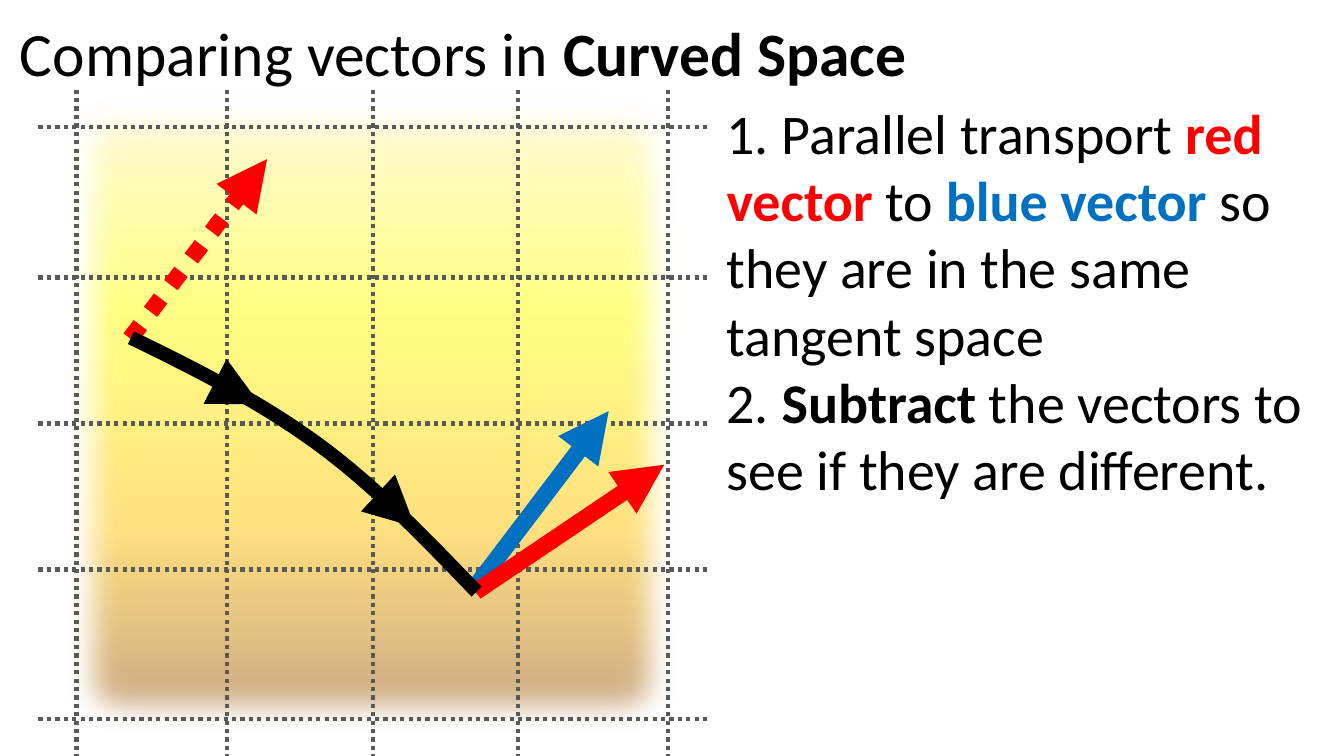
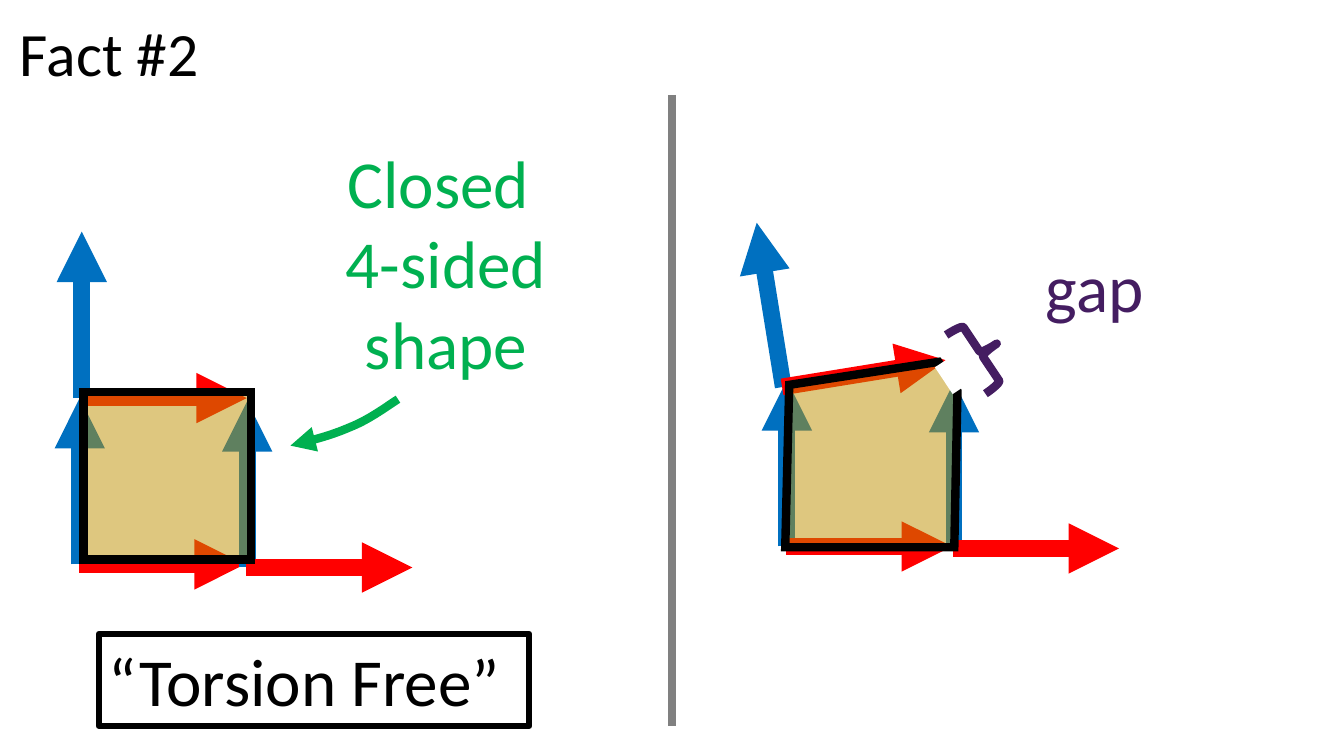
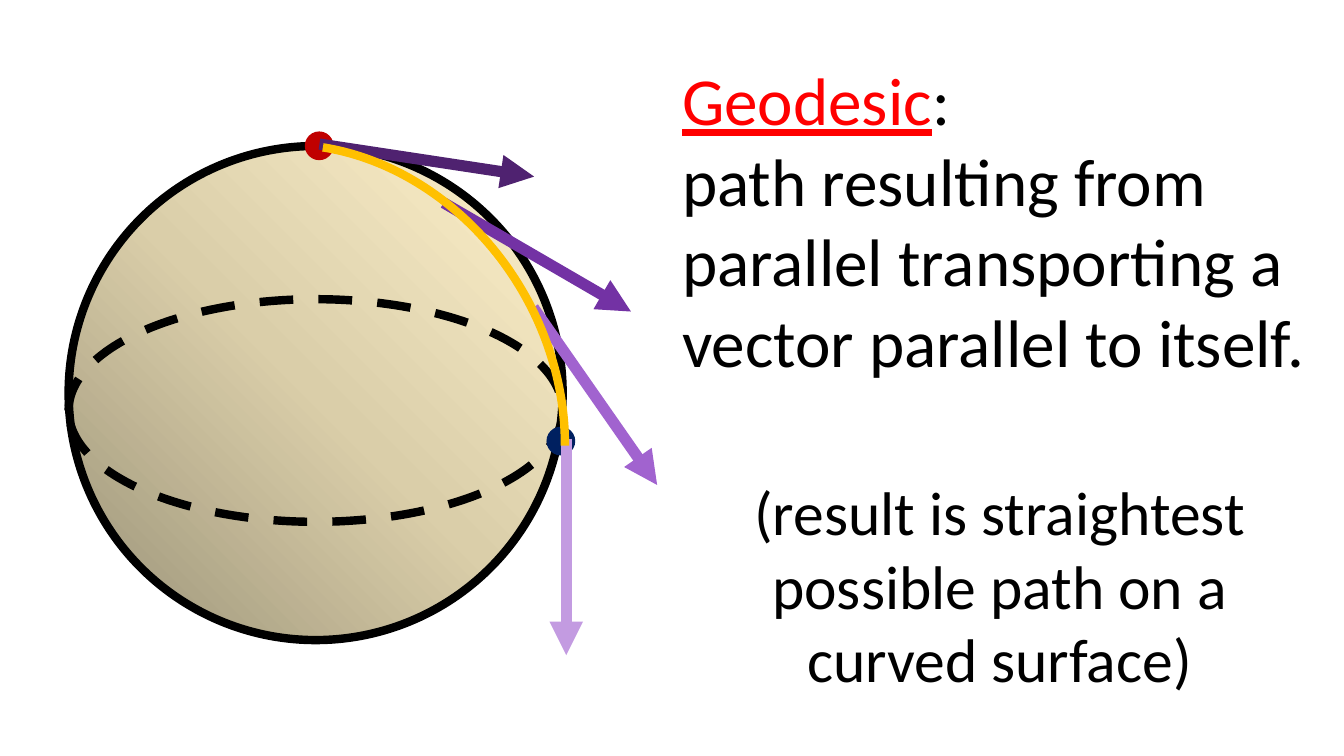
from math import cos, radians, sin

from lxml.etree import SubElement
from pptx import Presentation
from pptx.dml.color import RGBColor as RGB
from pptx.enum.dml import MSO_LINE as Dash
from pptx.enum.shapes import MSO_CONNECTOR as Link, MSO_SHAPE as Kind
from pptx.enum.text import MSO_ANCHOR as Anchor, MSO_AUTO_SIZE as Fit, PP_ALIGN as Align
from pptx.oxml import parse_xml
from pptx.oxml.ns import nsdecls, qn
from pptx.util import Cm, Pt

HUE = {
    "black": "000000", "white": "FFFFFF", "red": "FF0000", "blue": "0070C0",
    "green": "00B050", "grid": "595959", "gray": "808080", "ochre": "BF9000",
    "plum": "441D61", "gold": "FFC000", "wine": "C00000", "navy": "002060",
    "cream": "FFF2CC", "lemon": "FFFF00", "brown": "843C0B",
    "olive": "999177", "sand": "DACEA9",
    "violet1": "4F2270", "violet2": "7332A4", "violet3": "A163CF", "violet4": "C39BE1",
}
WIDE, HIGH = 33.87, 19.05

# Runs are (text, format) pairs; a list of runs is a paragraph
TITLE1 = [("Comparing vectors in ", {}), ("Curved Space", {"bold": True})]
TITLE2 = [("Fact #2", {})]
STEPS = [
    [("1. Parallel transport ", {}), ("red vector", {"hue": "red", "bold": True}),
     (" to ", {}), ("blue vector", {"hue": "blue", "bold": True}),
     (" so they are in the same tangent space", {})],
    [("2. ", {}), ("Subtract", {"bold": True}),
     (" the vectors to see if they are different.", {})],
]
CLOSED = [[("Closed \n4-sided\nshape", {"hue": "green"})]]
GAP = [[("gap", {"hue": "plum"})]]
FREE = [[("“Torsion Free”", {})]]
GEODESIC = [[("Geodesic", {"hue": "red", "under": True}),
             (":\npath resulting from parallel transporting a vector parallel to itself.", {})]]
RESULT = [[("(result is straightest possible path on a curved surface)", {})]]

# Curved space: stops are (percent, colour, opacity)
GLOW = [(0, "cream", 50), (35, "lemon", 49), (67, "gold", 50), (100, "brown", 49)]
COLS = [1.93, 5.72, 9.4, 13.06, 16.84]
ROWS = [18.11, 14.35, 10.67, 6.99, 3.2]
VECTORS = [
    ((11.91, 14.88), (15.34, 10.36), "blue", None),
    ((3.28, 8.53), (6.73, 4.01), "red", Dash.ROUND_DOT),
    ((11.99, 14.91), (16.74, 11.71), "red", None),
    ((5.46, 9.63), (6.55, 10.19), "black", None),
    ((9.58, 12.47), (10.46, 13.28), "black", None),
]
ROUTE = [(3.3, 8.51), (4.93, 9.3), (6.53, 10.11), (8, 11.18),
         (9.45, 12.24), (10.74, 13.59), (12.01, 14.91)]

# Torsion: frames are (x, y, tilt in degrees)
FRAMES = [(2.01, 14.22, 0), (6.23, 14.3, 0), (2.06, 10.03, 0),
          (19.83, 13.77, 0), (24.04, 13.82, 0), (19.74, 9.75, 9.2)]
SIDE = 4.19
POINTER = [(10.03, 10.06), (9.65, 10.31), (9.27, 10.59), (8.81, 10.77),
           (8.36, 10.97), (7.85, 11.1), (7.32, 11.23)]
OPEN = [(19.79, 13.79), (24.05, 13.79), (24.13, 9.86), (23.65, 9.12), (19.89, 9.7)]

# Geodesic
BALL = [(0, "olive", 100), (50, "sand", 100), (100, "cream", 100)]
DOTS = [(7.7, 3.33, "wine"), (13.79, 10.77, "navy")]
TANGENTS = [
    ((8.05, 3.63), (13.46, 4.45), "violet1"),
    ((14.27, 11.05), (14.27, 16.51), "violet4"),
    ((13.44, 7.75), (16.56, 12.22), "violet3"),
    ((11.18, 5.11), (15.9, 7.85), "violet2"),
]


def rgb(hue):
    return RGB.from_string(HUE[hue])


def write(frame, paras, size=44, align=Align.LEFT):
    """Fill a text frame; a line feed inside a run becomes a line break."""
    frame.word_wrap = True
    frame.auto_size = Fit.NONE
    frame.vertical_anchor = Anchor.TOP
    for i, runs in enumerate(paras):
        para = frame.add_paragraph() if i else frame.paragraphs[0]
        para.alignment = align
        for text, form in runs:
            for j, part in enumerate(text.split("\n")):
                if j:
                    para.add_line_break()
                if not part:
                    continue
                run = para.add_run()
                run.text = part
                font = run.font
                font.name, font.size = "Calibri", Pt(size)
                font.bold = form.get("bold", False)
                font.underline = form.get("under", False)
                font.color.rgb = rgb(form.get("hue", "black"))


def place(shape, *box):
    shape.left, shape.top, shape.width, shape.height = map(Cm, box)


def title(slide, runs, wide):
    head = slide.shapes.title
    place(head, 0.25, 0.25, wide, 2.13)
    write(head.text_frame, [runs])


def note(slide, box, paras, **form):
    area = slide.shapes.add_textbox(*map(Cm, box))
    write(area.text_frame, paras, **form)
    return area


def stroke(shape, hue, width, dash=None, tip=False, miter=False):
    line = shape.line
    line.color.rgb = rgb(hue)
    line.width = Pt(width)
    if dash:
        line.dash_style = dash
    ln = shape._element.spPr.find(qn("a:ln"))
    if miter:
        SubElement(ln, qn("a:miter"), lim="800000")
    if tip:
        SubElement(ln, qn("a:tailEnd"), type="triangle")


def link(slide, start, end, hue, width, **form):
    line = slide.shapes.add_connector(Link.STRAIGHT, *map(Cm, (*start, *end)))
    stroke(line, hue, width, **form)
    SubElement(line._element.spPr, qn("a:effectLst"))


def dress(shape, fill=None, alpha=None, line=None, width=1, **form):
    """Set the fill, its opacity in percent, and the outline of a shape."""
    shape.shadow.inherit = False
    if fill:
        shape.fill.solid()
        shape.fill.fore_color.rgb = rgb(fill)
        if alpha:
            tint = shape._element.spPr.find(qn("a:solidFill"))[0]
            SubElement(tint, qn("a:alpha"), val=str(alpha * 1000))
    else:
        shape.fill.background()
    if line:
        stroke(shape, line, width, **form)
    else:
        shape.line.fill.background()
    return shape


def form(slide, kind, box, turn=0, **look):
    shape = slide.shapes.add_shape(kind, *map(Cm, box))
    shape.rotation = turn
    return dress(shape, **look)


def outline(slide, points, close=False, **look):
    spots = [(Cm(x), Cm(y)) for x, y in points]
    pen = slide.shapes.build_freeform(*spots[0], scale=1.0)
    pen.add_line_segments(spots[1:], close=close)
    return dress(pen.convert_to_shape(), **look)


def bend(knots, steps=16):
    """Points along a chain of cubic Bezier curves."""
    points = [knots[0]]
    for i in range(0, len(knots) - 1, 3):
        for k in range(1, steps + 1):
            t = k / steps
            u = 1 - t
            mix = (u ** 3, 3 * u * u * t, 3 * u * t * t, t ** 3)
            points.append(tuple(sum(m * p[axis] for m, p in zip(mix, knots[i:i + 4]))
                                for axis in (0, 1)))
    return points


def blend(shape, stops, course):
    """Give a preset shape a gradient; course is its a:lin or a:path element."""
    marks = "".join(
        f'<a:gs pos="{at * 1000}"><a:srgbClr val="{HUE[hue]}">'
        f'<a:alpha val="{alpha * 1000}"/></a:srgbClr></a:gs>'
        for at, hue, alpha in stops)
    props = shape._element.spPr
    props.remove(props.find(qn("a:noFill")))
    props.find(qn("a:prstGeom")).addnext(parse_xml(
        f'<a:gradFill {nsdecls("a")} rotWithShape="1"><a:gsLst>{marks}</a:gsLst>{course}</a:gradFill>'))


def curved(slide):
    title(slide, TITLE1, 23.75)
    sheet = form(slide, Kind.RECTANGLE, (1.19, 1.96, 16.36, 16.99))
    blend(sheet, GLOW, '<a:lin ang="5400000" scaled="0"/>')
    SubElement(sheet._element.spPr.find(qn("a:effectLst")), qn("a:softEdge"), rad="317500")
    grid = [((x, 2.26), (x, HIGH)) for x in COLS] + [((0.97, y), (17.81, y)) for y in ROWS]
    for start, end in grid:
        link(slide, start, end, "grid", 3, dash=Dash.ROUND_DOT)
    for start, end, hue, dash in VECTORS:
        link(slide, start, end, hue, 12, dash=dash, tip=True)
    outline(slide, bend(ROUTE), line="black", width=10)
    note(slide, (18.06, 2.36, 15.62, 11.33), STEPS, size=40)


def torsion(slide):
    title(slide, TITLE2, 6.71)
    outline(slide, bend(POINTER), line="green", width=6, tip=True)
    note(slide, (7.9, 3.43, 6.68, 6.4), CLOSED, size=48, align=Align.CENTER)
    for x, y, tilt in FRAMES:
        dx, dy = SIDE * cos(radians(tilt)), SIDE * sin(radians(tilt))
        link(slide, (x, y), (x - dy, y - dx), "blue", 12, tip=True)
        link(slide, (x - 0.03, y), (x - 0.03 + dx, y - dy), "red", 12, tip=True)
    label = note(slide, (2.49, 15.98, 10.85, 2.31), FREE, size=48)
    stroke(label, "black", 4.5)
    cell = {"fill": "ochre", "alpha": 50, "line": "black", "width": 6, "miter": True}
    form(slide, Kind.RECTANGLE, (2.11, 9.88, 4.22, 4.22), **cell)
    outline(slide, OPEN, close=True, **cell)
    form(slide, Kind.RECTANGLE, (23.72, 8.97, 0.79, 0.81), turn=326.5, fill="white")
    note(slide, (26.11, 6.07, 3.33, 2.31), GAP, size=48)
    form(slide, Kind.RIGHT_BRACE, (24.26, 8.03, 0.94, 1.78), turn=326.2, line="plum", width=6)
    link(slide, (WIDE / 2, 2.39), (WIDE / 2, 18.29), "gray", 6)


def geodesic(slide):
    ball = form(slide, Kind.OVAL, (1.73, 3.68, 12.45, 12.45), line="black", width=6)
    blend(ball, BALL, '<a:path path="circle"><a:fillToRect t="100000" r="100000"/></a:path>')
    form(slide, Kind.OVAL, (1.73, 7.54, 12.45, 5.61), line="black", width=6, dash=Dash.DASH)
    for x, y, hue in DOTS:
        form(slide, Kind.OVAL, (x, y, 0.69, 0.69), fill=hue, line=hue)
    for start, end, hue in TANGENTS:
        link(slide, start, end, hue, 8, tip=True)
    note(slide, (16.94, 1.35, 16.51, 8.46), GEODESIC, size=48)
    arc = form(slide, Kind.ARC, (2.13, 3.4, 11.84, 13.82), turn=329.6, line="gold", width=6)
    arc.adjustments[0], arc.adjustments[1] = 180.7, 23.32
    note(slide, (16.94, 11.81, 16.51, 5.89), RESULT, align=Align.CENTER)


def main():
    deck = Presentation()
    deck.slide_width, deck.slide_height = Cm(WIDE), Cm(HIGH)
    only, blank = deck.slide_layouts[5], deck.slide_layouts[6]
    for draw, layout in ((curved, only), (torsion, only), (geodesic, blank)):
        draw(deck.slides.add_slide(layout))
    deck.save("out.pptx")


if __name__ == "__main__":
    main()
